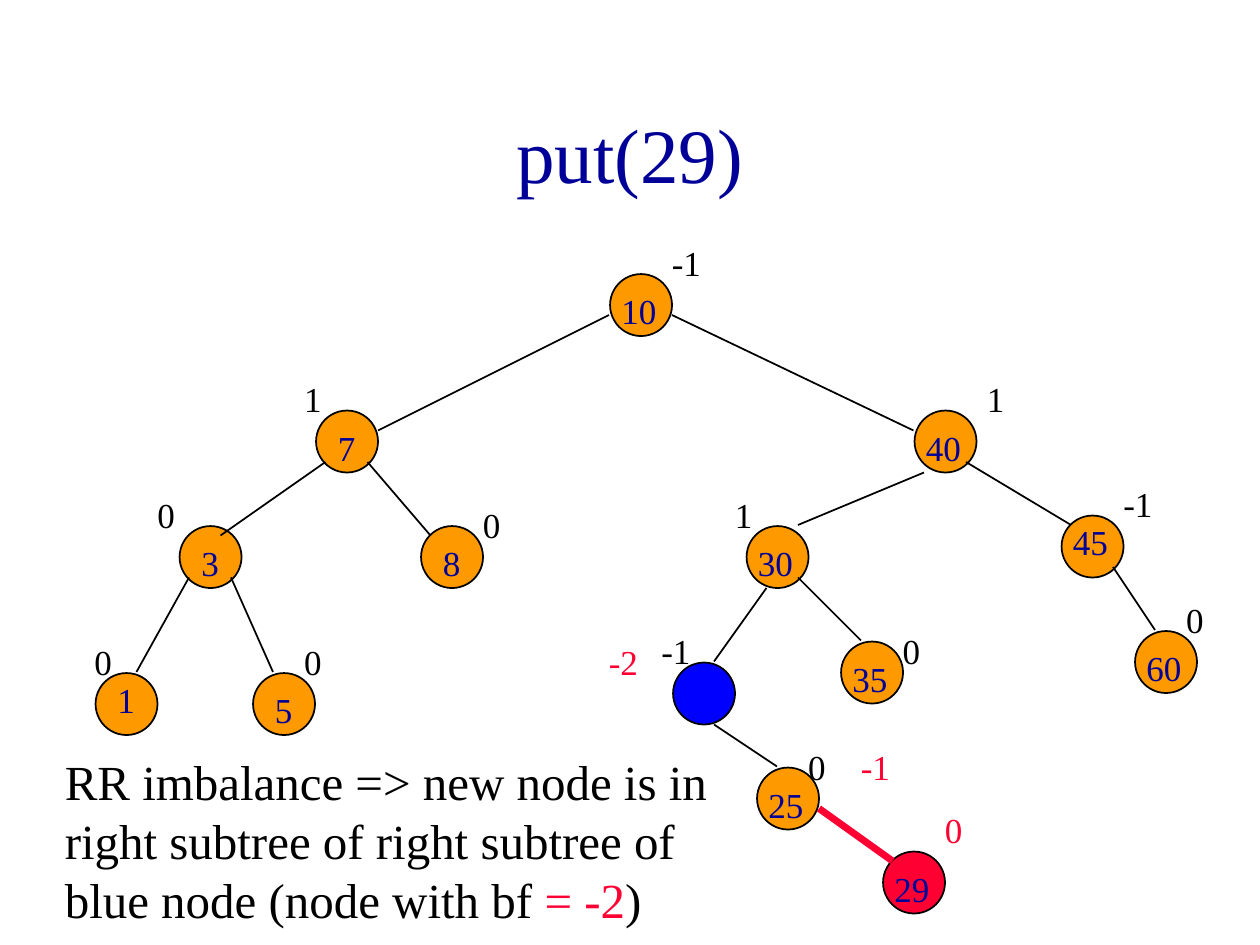
from collections import namedtuple

from pptx import Presentation
from pptx.dml.color import RGBColor
from pptx.enum.shapes import MSO_CONNECTOR, MSO_SHAPE
from pptx.enum.text import MSO_ANCHOR, PP_ALIGN
from pptx.util import Emu, Pt
from lxml import etree

PX = 7620  # EMU in one px, 120 px to the inch
FONT = "Times New Roman"
DRAWING_NS = "http://schemas.openxmlformats.org/drawingml/2006/main"
COLORS = {
    "navy": "000099",
    "black": "000000",
    "orange": "FF9900",
    "red": "FF0033",
    "blue": "0000FF",
}

Box = namedtuple("Box", "left top width height")
Node = namedtuple("Node", "left top fill number_drop", defaults=("orange", 10))
NODE_SIZE = 59
LABEL_HEIGHT = 52

# Node places are relative to the tree's box.
NODES = {
    10: Node(490, 0),
    7: Node(210, 130),
    40: Node(780, 130),
    3: Node(80, 240),
    8: Node(310, 240),
    30: Node(620, 240),
    1: Node(0, 380, number_drop=0),
    5: Node(150, 380),
    25: Node(630, 470),
    35: Node(710, 350),
    45: Node(920, 230, number_drop=0),
    60: Node(990, 340),
    29: Node(750, 550, "red"),
}
UNBALANCED = Node(550, 370, "blue")

# Parent, child, start relative to the parent, end relative to the child.
EDGES = [
    (10, 7, (0, 40), (60, 20)),
    (10, 40, (60, 40), (0, 20)),
    (7, 3, (10, 50), (40, 10)),
    (7, 8, (50, 50), (10, 10)),
    (40, 30, (10, 60), (50, 0)),
    (40, 45, (50, 50), (10, 10)),
    (3, 1, (10, 50), (40, 0)),
    (3, 5, (50, 50), (20, 0)),
    (30, 20, (20, 60), (40, 0)),
    (30, 35, (50, 50), (20, 0)),
    (45, 60, (50, 50), (20, 0)),
    (20, 25, (40, 60), (20, 0)),
]
NEW_EDGE = (25, 29, (60, 40), (10, 10))

# Node, balance factor, offset from the node, colour.
BALANCES = [
    (10, "-1", 48, -36, "black"),
    (7, "1", -22, -36, "black"),
    (40, "1", 58, -36, "black"),
    (3, "0", -32, -36, "black"),
    (8, "0", 48, -26, "black"),
    (30, "1", -22, -36, "black"),
    (45, "-1", 48, -36, "black"),
    (1, "0", -12, -36, "black"),
    (5, "0", 38, -36, "black"),
    (20, "-1", -22, -36, "black"),
    (20, "-2", -72, -26, "red"),
    (35, "0", 48, -16, "black"),
    (60, "0", 38, -36, "black"),
    (25, "0", 38, -26, "black"),
    (25, "-1", 88, -26, "red"),
    (29, "0", 48, -46, "red"),
]


def px(*lengths):
    return [Emu(length * PX) for length in lengths]


def color(name):
    return RGBColor.from_string(COLORS[name])


def add_text(page, box, spans, size, wrap=True):
    """Add a one-paragraph text box from (text, colour) spans."""
    shape = page.shapes.add_textbox(*px(*box))
    frame = shape.text_frame
    frame.word_wrap = wrap
    para = frame.paragraphs[0]
    para.font.name = FONT
    para.font.size = Pt(size)
    for text, name in spans:
        span = para.add_run()
        span.text = text
        span.font.color.rgb = color(name)
    return frame


def add_node(page, box, node):
    circle = page.shapes.add_shape(
        MSO_SHAPE.OVAL,
        *px(box.left + node.left + 1, box.top + node.top + 1, NODE_SIZE, NODE_SIZE))
    circle.shadow.inherit = False
    circle.fill.solid()
    circle.fill.fore_color.rgb = color(node.fill)
    circle.line.color.rgb = color("black")
    circle.line.width = Pt(1)


def add_edge(page, box, edge, name="black", width=1):
    parent, child, start, end = edge
    points = []
    for value, (across, down) in ((parent, start), (child, end)):
        node = NODES.get(value, UNBALANCED)
        points += [box.left + node.left + across, box.top + node.top + down]
    line = page.shapes.add_connector(MSO_CONNECTOR.STRAIGHT, *px(*points))
    line.line.color.rgb = color(name)
    line.line.width = Pt(width)
    etree.SubElement(line._element.spPr, f"{{{DRAWING_NS}}}effectLst")


def add_number(page, box, value, node):
    indent = 10 if value < 10 else 0
    place = Box(box.left + node.left + indent, box.top + node.top + node.number_drop,
                60, LABEL_HEIGHT)
    add_text(page, place, [(str(value), "navy")], 20)


def add_balance(page, box, value, text, across, down, name):
    node = NODES.get(value, UNBALANCED)
    width = 41 if len(text) == 1 else 52
    place = Box(box.left + node.left + across, box.top + node.top + down,
                width, LABEL_HEIGHT)
    add_text(page, place, [(text, name)], 20, wrap=False)


def add_tree(page, box):
    for node in NODES.values():
        add_node(page, box, node)
    for edge in EDGES:
        add_edge(page, box, edge)
    for value, node in NODES.items():
        add_number(page, box, value, node)
    add_edge(page, box, NEW_EDGE, "red", 4)
    for balance in BALANCES:
        add_balance(page, box, *balance)
    add_node(page, box, UNBALANCED)


def add_title(page, box):
    frame = add_text(page, box, [("put(29)", "navy")], 44)
    frame.vertical_anchor = MSO_ANCHOR.MIDDLE
    frame.paragraphs[0].alignment = PP_ALIGN.CENTER


def add_explanation(page, box):
    add_text(page, box, [
        ("RR imbalance => new node is in right subtree of right subtree of "
         "blue node (node with bf ", "black"),
        ("= -2", "red"),
        (")", "black"),
    ], 28)


def main():
    deck = Presentation()
    deck.slide_width, deck.slide_height = px(1200, 900)
    page = deck.slides.add_slide(deck.slide_layouts[6])
    add_title(page, Box(90, 70, 1020, 150))
    add_tree(page, Box(90, 260, 1050, 610))
    add_explanation(page, Box(50, 710, 650, 180))
    deck.save("out.pptx")


if __name__ == "__main__":
    main()
